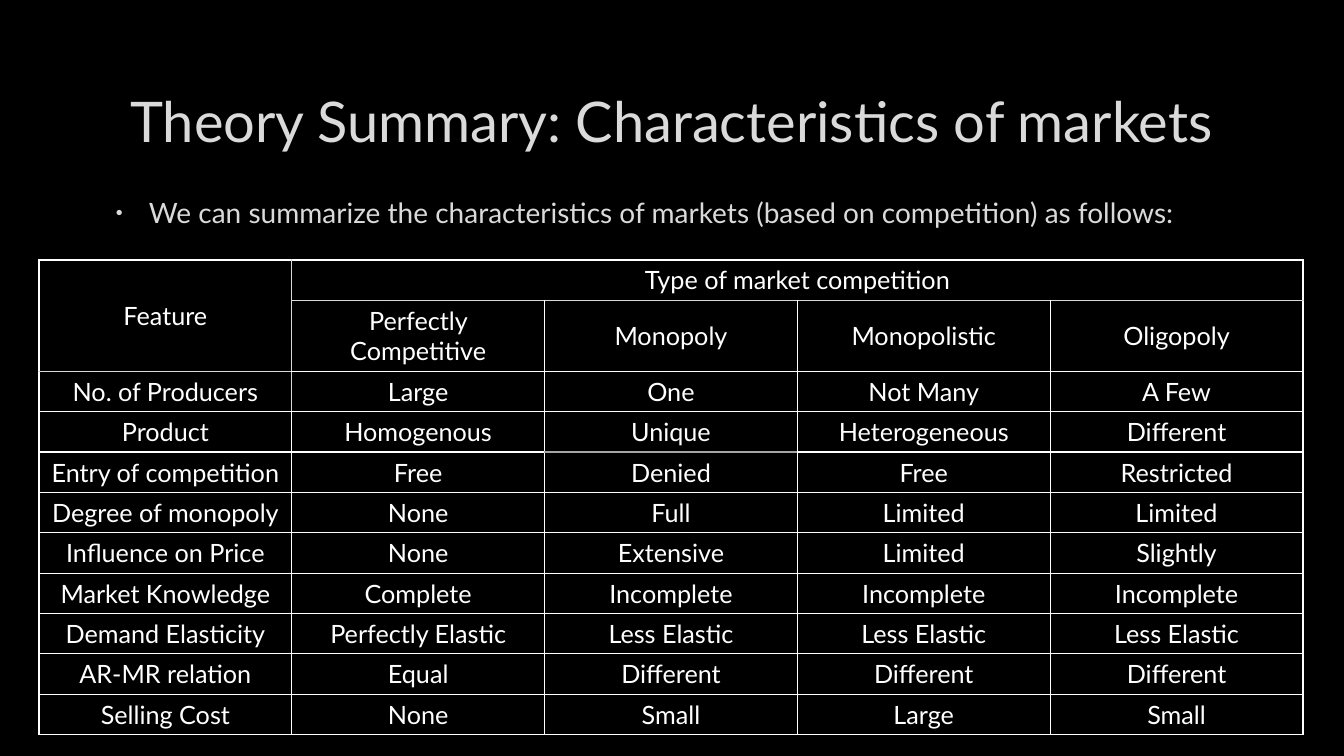
from lxml.etree import SubElement
from pptx import Presentation
from pptx.dml.color import RGBColor
from pptx.enum.text import MSO_ANCHOR as Anchor, PP_ALIGN as Align
from pptx.oxml.ns import qn
from pptx.util import Pt

SCALE = 12192000 / 1344
FONT = "Lato"
COLORS = {"background": "000000", "heading": "DADADA", "cell": "FFFFFF",
          "border": "FFFFFF", "header_border": "D9D9D9", "accent_border": "A6A6A6"}

TITLE = "Theory Summary: Characteristics of markets"
INTRO = "We can summarize the characteristics of markets (based on competition) as follows:"
MARKETS = [
    ["Feature", "Type of market competition", "", "", ""],
    ["", "Perfectly Competitive", "Monopoly", "Monopolistic", "Oligopoly"],
    ["No. of Producers", "Large", "One", "Not Many", "A Few"],
    ["Product", "Homogenous", "Unique", "Heterogeneous", "Different"],
    ["Entry of competition", "Free", "Denied", "Free", "Restricted"],
    ["Degree of monopoly", "None", "Full", "Limited", "Limited"],
    ["Influence on Price", "None", "Extensive", "Limited", "Slightly"],
    ["Market Knowledge", "Complete", "Incomplete", "Incomplete", "Incomplete"],
    ["Demand Elasticity", "Perfectly Elastic", "Less Elastic", "Less Elastic", "Less Elastic"],
    ["AR-MR relation", "Equal", "Different", "Different", "Different"],
    ["Selling Cost", "None", "Small", "Large", "Small"],
]
ROW_HEIGHT, TALL_ROW_HEIGHT = 40, 71

BELOW = {(0, column): "header_border" for column in range(5)}
BELOW.update({(1, 0): "header_border", (3, 2): "accent_border"})
RIGHT = {(row, 0): "header_border" for row in range(3)}


def px(length):
    """Turn a length in px into EMU."""
    return round(length * SCALE)


def format_runs(para, size, color):
    """Give every run of a paragraph its font, size and colour."""
    for span in para.runs:
        span.font.name = FONT
        span.font.size = Pt(size)
        span.font.color.rgb = RGBColor.from_string(COLORS[color])


def add_text(page, box, text, size, anchor, align):
    """Place a wrapped one-paragraph text in the box and return the paragraph."""
    frame = page.shapes.add_textbox(*map(px, box)).text_frame
    frame.word_wrap = True
    frame.vertical_anchor = anchor
    para = frame.paragraphs[0]
    para.text = text
    para.alignment = align
    format_runs(para, size, "heading")
    return para


def add_bullet(para, indent, hanging):
    """Give a paragraph a small round bullet with a hanging indent."""
    props = para._p.get_or_add_pPr()
    props.set("marL", str(px(indent)))
    props.set("indent", str(-px(hanging)))
    color = SubElement(props, qn("a:buClr"))
    SubElement(color, qn("a:srgbClr"), val=COLORS["heading"])
    SubElement(props, qn("a:buSzPct"), val="70000")
    SubElement(props, qn("a:buFont"), typeface="Arial")
    SubElement(props, qn("a:buChar"), char="•")


def add_borders(cell, row, column):
    """Draw the four sides of a cell, sharing colours with its neighbours."""
    sides = {"a:lnL": RIGHT.get((row, column - 1)), "a:lnR": RIGHT.get((row, column)),
             "a:lnT": BELOW.get((row - 1, column)), "a:lnB": BELOW.get((row, column))}
    props = cell._tc.get_or_add_tcPr()
    for side, color in sides.items():
        line = SubElement(props, qn(side), w=str(Pt(1)))
        fill = SubElement(line, qn("a:solidFill"))
        SubElement(fill, qn("a:srgbClr"), val=COLORS[color or "border"])


def add_market_table(page, box):
    """Place the table of market features in the box."""
    left, top, width, height = map(px, box)
    table = page.shapes.add_table(len(MARKETS), len(MARKETS[0]), left, top, width, height).table
    table.first_row = table.horz_banding = False
    for index, table_row in enumerate(table.rows):
        table_row.height = px(TALL_ROW_HEIGHT if index == 1 else ROW_HEIGHT)
    table.cell(0, 0).merge(table.cell(1, 0))
    table.cell(0, 1).merge(table.cell(0, 4))
    for row, texts in enumerate(MARKETS):
        for column, text in enumerate(texts):
            cell = table.cell(row, column)
            cell.vertical_anchor = Anchor.MIDDLE
            add_borders(cell, row, column)
            cell.fill.background()
            if text:
                para = cell.text_frame.paragraphs[0]
                para.text = text
                para.alignment = Align.CENTER
                format_runs(para, 18, "cell")


def add_market_slide(deck):
    """Add the slide with its title, introduction and table."""
    page = deck.slides.add_slide(deck.slide_layouts[6])
    page.background.fill.solid()
    page.background.fill.fore_color.rgb = RGBColor.from_string(COLORS["background"])
    add_text(page, (101, 67, 1141, 107), TITLE, 40, Anchor.MIDDLE, Align.CENTER)
    intro = add_text(page, (101, 191, 1141, 46), INTRO, 20, Anchor.TOP, Align.LEFT)
    add_bullet(intro, 38, 33)
    add_market_table(page, (39, 260, 1264, 471))


def main():
    """Build the deck and save it."""
    deck = Presentation()
    deck.slide_width, deck.slide_height = px(1344), px(756)
    add_market_slide(deck)
    deck.save("out.pptx")


if __name__ == "__main__":
    main()
